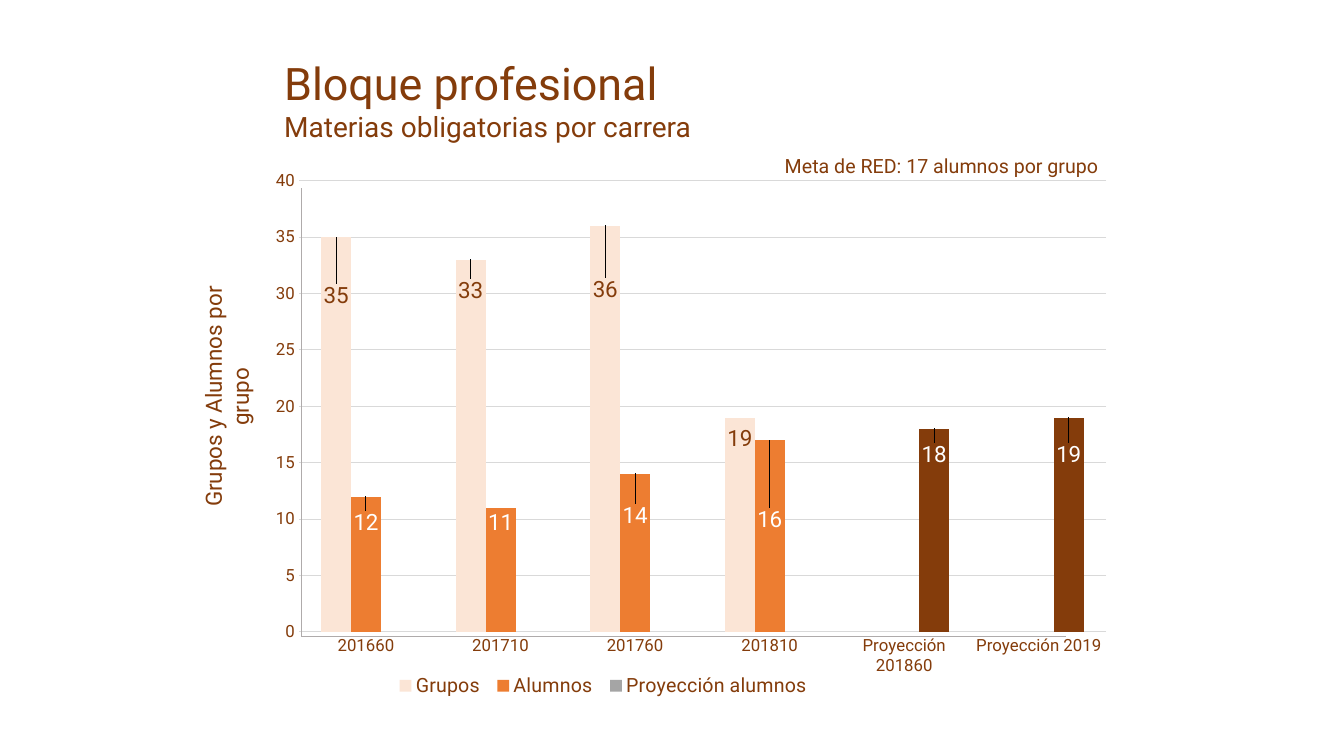
from dataclasses import dataclass

from lxml import etree
from pptx import Presentation
from pptx.chart.data import CategoryChartData
from pptx.dml.color import RGBColor
from pptx.enum import chart as charts, shapes, text
from pptx.oxml import ns
from pptx.util import Inches, Pt


@dataclass(frozen=True)
class Theme:
    font: str = "Roboto"
    brown: str = "843C0B"
    peach: str = "FBE5D6"
    orange: str = "ED7D31"
    gray: str = "A5A5A5"
    grid: str = "D9D9D9"
    axis: str = "AFABAB"
    white: str = "FFFFFF"
    title: int = 32
    subtitle: int = 20
    label: int = 16
    note: int = 14
    tick: int = 12


THEME = Theme()
CATEGORIES = ["201660", "201710", "201760", "201810",
              "Proyección 201860", "Proyección 2019"]
# Name, values, fill, label colour, vertical label shifts (share of chart height)
SERIES = [
    ("Grupos", [35, 33, 36, 19, None, None], THEME.peach, THEME.brown,
     {0: 0.14, 1: 0.09, 2: 0.15, 3: 0.07}),
    ("Alumnos", [12, 11, 14, 17, None, None], THEME.orange, THEME.white,
     {0: 0.08, 1: 0.06, 2: 0.11, 3: 0.18}),
    ("Proyección alumnos", [None, None, None, None, 18, 19], THEME.gray, THEME.white,
     {4: 0.08, 5: 0.1}),
]


def style_font(font, size, color=THEME.brown):
    font.name = THEME.font
    font.size = Pt(size)
    font.bold = False
    font.color.rgb = RGBColor.from_string(color)


def paint(fill, color):
    fill.solid()
    fill.fore_color.rgb = RGBColor.from_string(color)


def add_text(page, place, lines, align=text.PP_ALIGN.LEFT, rotation=0):
    box = page.shapes.add_textbox(*map(Inches, place))
    box.rotation = rotation
    frame = box.text_frame
    frame.word_wrap = True
    for index, (words, size) in enumerate(lines):
        para = frame.add_paragraph() if index else frame.paragraphs[0]
        para.text = words
        para.alignment = align
        style_font(para.font, size)


def add_axis_line(page, start, end):
    line = page.shapes.add_connector(
        shapes.MSO_CONNECTOR.STRAIGHT, *map(Inches, start + end))
    line.line.color.rgb = RGBColor.from_string(THEME.axis)
    line.line.width = Pt(0.5)
    etree.SubElement(line._element.spPr, ns.qn("a:effectLst"))


def set_layout(parent, index, **values):
    """Place a chart part by shares of the chart's size."""
    for old in parent.findall(ns.qn("c:layout")):
        parent.remove(old)
    layout = etree.Element(ns.qn("c:layout"))
    manual = etree.SubElement(layout, ns.qn("c:manualLayout"))
    for name, value in values.items():
        etree.SubElement(manual, ns.qn(f"c:{name}")).set("val", str(value))
    parent.insert(index, layout)


def style_axis(axis):
    axis.major_tick_mark = axis.minor_tick_mark = charts.XL_TICK_MARK.NONE
    axis.format.line.fill.background()
    style_font(axis.tick_labels.font, THEME.tick)


def label_series(series, color, shifts):
    labels = series.data_labels
    labels.show_value = True
    labels.position = charts.XL_LABEL_POSITION.OUTSIDE_END
    style_font(labels.font, THEME.label, color)
    for index in shifts:
        label = series.points[index].data_label
        style_font(label.font, THEME.label, color)
        label.position = charts.XL_LABEL_POSITION.OUTSIDE_END
    for element, shift in zip(series._element.iter(ns.qn("c:dLbl")), shifts.values()):
        set_layout(element, 1, x=0, y=shift)


def add_groups_chart(page):
    data = CategoryChartData()
    data.categories = CATEGORIES
    for name, values, *_ in SERIES:
        data.add_series(name, values)
    chart = page.shapes.add_chart(
        charts.XL_CHART_TYPE.COLUMN_CLUSTERED,
        *map(Inches, (2.58, 1.65, 8.51, 5.34)), data).chart
    chart.has_title = False
    style_font(chart.font, THEME.tick)

    # Columns and their labels
    plot = chart.plots[0]
    plot.gap_width, plot.overlap, plot.vary_by_categories = 150, 0, False
    for series, (_, _, fill, label_color, shifts) in zip(plot.series, SERIES):
        paint(series.format.fill, fill)
        label_series(series, label_color, shifts)
    for index in (4, 5):
        paint(plot.series[2].points[index].format.fill, THEME.brown)
    span = plot.series[1].points[3].data_label.text_frame.paragraphs[0].add_run()
    span.text = "16"
    style_font(span.font, THEME.label, THEME.white)

    # Axes
    style_axis(chart.category_axis)
    values = chart.value_axis
    style_axis(values)
    values.minimum_scale, values.maximum_scale, values.major_unit = 0, 40, 5
    values.has_major_gridlines = True
    grid = values.major_gridlines.format.line
    grid.color.rgb = RGBColor.from_string(THEME.grid)
    grid.width = Pt(0.75)

    # Legend and plot placement
    chart.has_legend = True
    legend = chart.legend
    legend.position = charts.XL_LEGEND_POSITION.BOTTOM
    legend.include_in_layout = False
    style_font(legend.font, THEME.note)
    set_layout(legend._element, 1, xMode="edge", yMode="edge",
               x=0.15, y=0.93, w=0.5, h=0.07)
    area = chart._chartSpace.chart.plotArea
    set_layout(area, 0, layoutTarget="inner", xMode="edge", yMode="edge",
               x=0.045, y=0.027, w=0.941, h=0.838)


def main():
    deck = Presentation()
    deck.slide_width, deck.slide_height = Inches(13.33), Inches(7.5)
    page = deck.slides.add_slide(deck.slide_layouts[6])
    center = text.PP_ALIGN.CENTER

    add_groups_chart(page)

    # Headings and captions
    add_text(page, (2.72, 0.5, 6.8, 0.98),
             [("Bloque profesional", THEME.title),
              ("Materias obligatorias por carrera", THEME.subtitle)])
    add_text(page, (7.19, 1.48, 4.3, 0.34),
             [("Meta de RED: 17 alumnos por grupo", THEME.note)], center)
    add_text(page, (0.68, 3.75, 2.87, 0.37),
             [("Grupos y Alumnos por grupo", THEME.label)], center, rotation=270)

    # Axis lines
    corner = (2.99, 6.31)
    add_axis_line(page, (2.99, 1.87), corner)
    add_axis_line(page, corner, (10.57, 6.31))

    deck.save("out.pptx")


if __name__ == "__main__":
    main()
